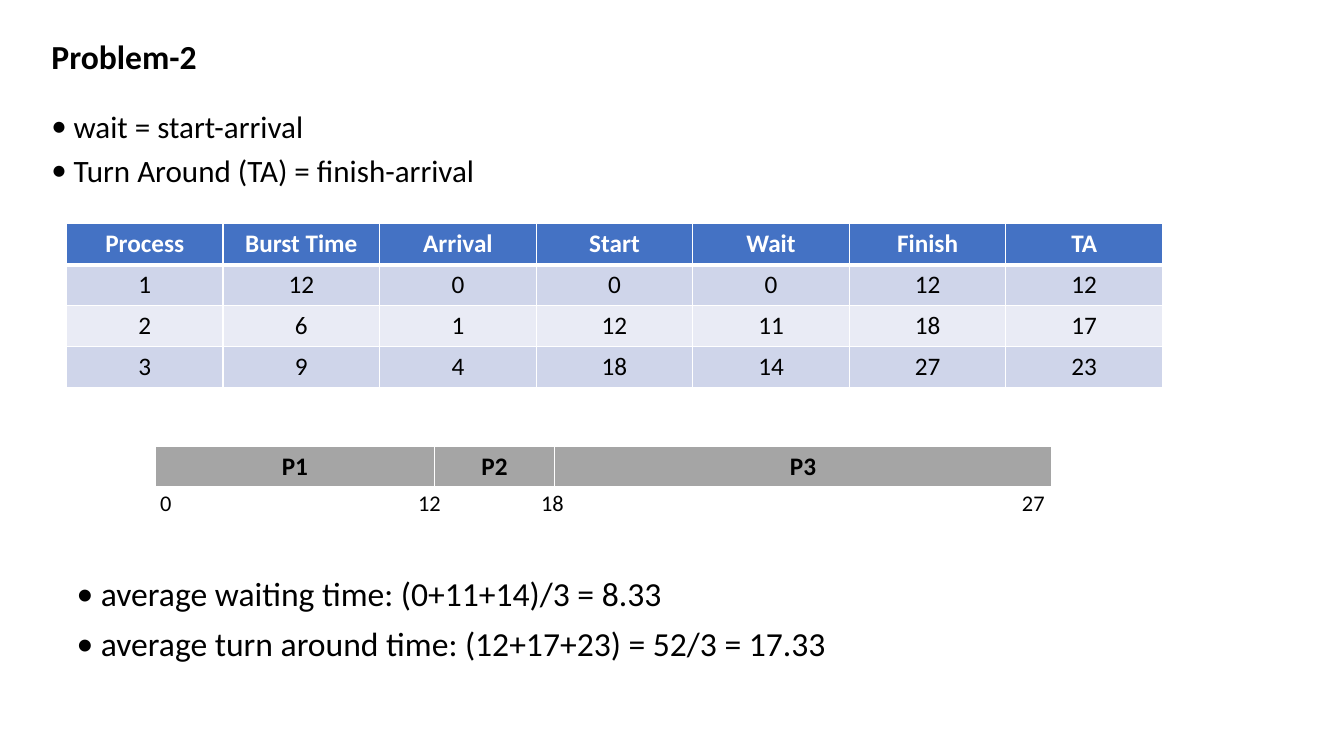
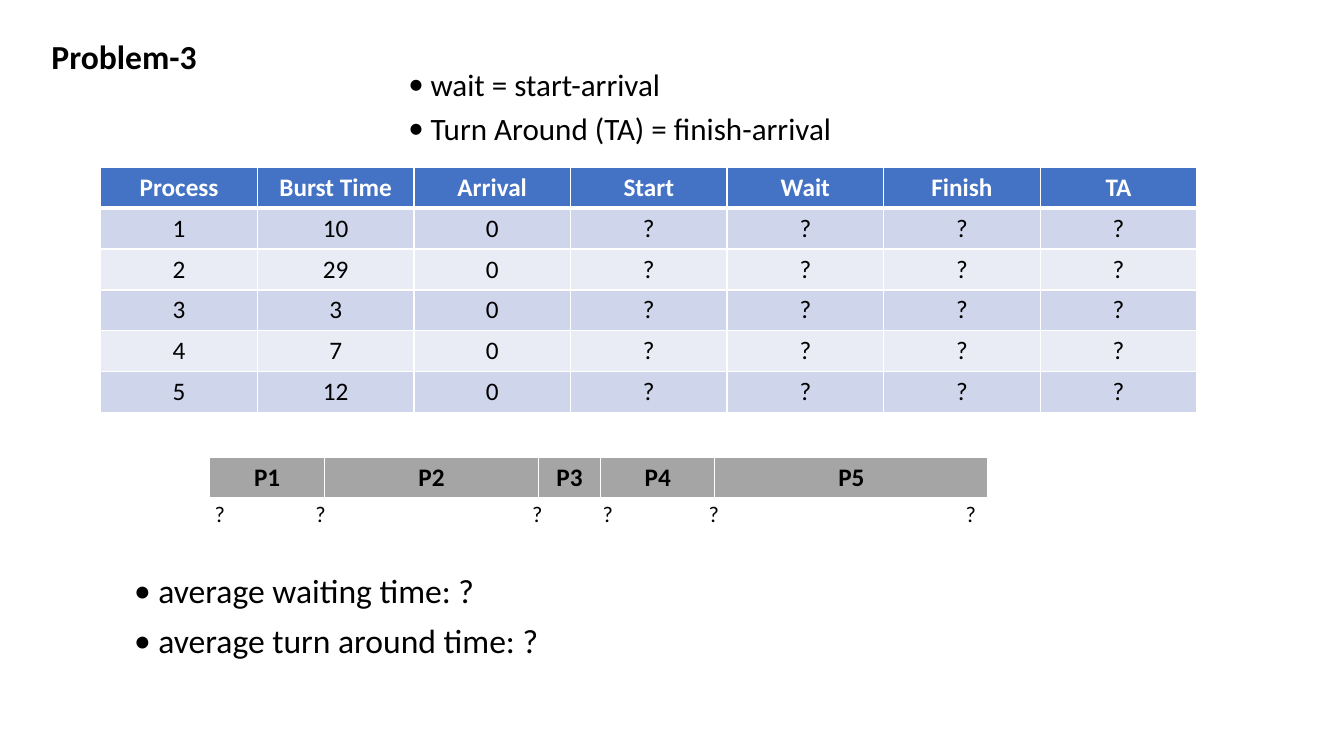
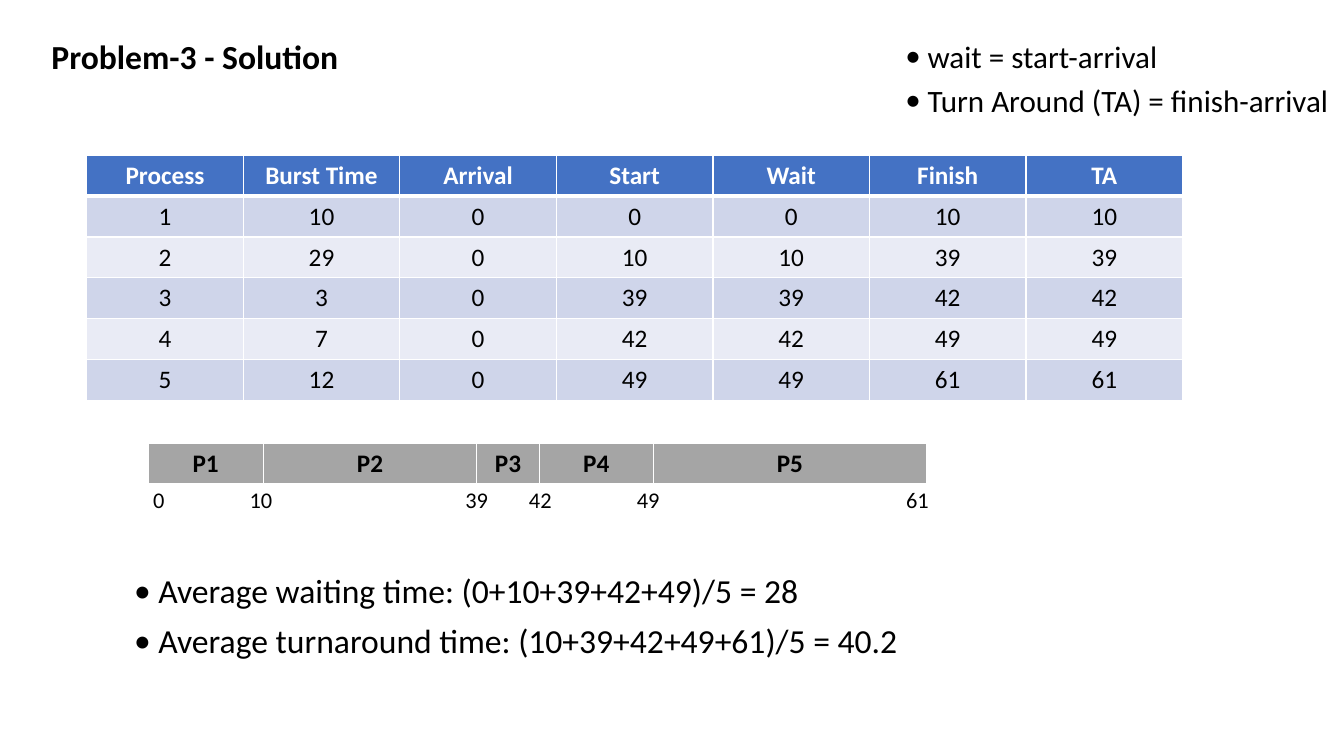
"""Build three slides on first-come, first-served process scheduling."""
from itertools import accumulate

from lxml.etree import SubElement
from pptx import Presentation
from pptx.dml.color import RGBColor
from pptx.enum.text import MSO_ANCHOR, MSO_AUTO_SIZE, PP_ALIGN
from pptx.oxml.ns import qn
from pptx.util import Inches, Pt

FONT = "Calibri"
BLACK, WHITE, BLUE, GREY = "000000", "FFFFFF", "4472C4", "A5A5A5"
BANDS = ["CFD5EA", "E9EBF5"]
HEADINGS = ["Process", "Burst Time", "Arrival", "Start", "Wait", "Finish", "TA"]
FORMULAS = ["wait = start-arrival", "Turn Around (TA) = finish-arrival"]
COLUMN, ROW, BAR_HEIGHT = 1.553, 0.405, 0.4

deck = Presentation()
deck.slide_width, deck.slide_height = Inches(13.33), Inches(7.5)
two_lists = deck.slide_layouts.get_by_name("Two Content")


def write(box, place, lines, size, bold=False, spacing=None, bullet=0, tabs=()):
    """Place a box and fill it with evenly formatted paragraphs."""
    box.left, box.top, box.width, box.height = map(Inches, place)
    frame = box.text_frame
    frame.word_wrap, frame.auto_size = True, MSO_AUTO_SIZE.NONE
    frame.vertical_anchor = MSO_ANCHOR.TOP
    frame.text = "\n".join(lines)
    for para in frame.paragraphs:
        para.alignment = PP_ALIGN.LEFT
        if spacing:
            para.line_spacing, para.space_before = spacing, Pt(10)
        properties = para._p.get_or_add_pPr()
        if bullet:
            properties.set("marL", str(Inches(bullet)))
            properties.set("indent", str(-Inches(bullet)))
            SubElement(properties, qn("a:buFont"), typeface=FONT)
            SubElement(properties, qn("a:buChar"), char="•")
        if tabs:
            stops = SubElement(properties, qn("a:tabLst"))
            for stop in tabs:
                SubElement(stops, qn("a:tab"), pos=str(Inches(stop)), algn="ctr")
        para.font.name, para.font.size, para.font.bold = FONT, Pt(size), bold
        para.font.color.rgb = RGBColor.from_string(BLACK)


def add_grid(slide, left, top, widths, height, rows, head_fill, head_color):
    """Add a table with a bold first row, banded rows and white borders."""
    grid = slide.shapes.add_table(len(rows), len(widths), Inches(left), Inches(top),
                                  Inches(sum(widths)), Inches(height * len(rows))).table
    for column, width in zip(grid.columns, widths):
        column.width = Inches(width)
    for r, row in enumerate(rows):
        for c, value in enumerate(row):
            cell = grid.cell(r, c)
            borders = {"lnL": 1, "lnR": 1, "lnT": 3 if r == 1 else 1, "lnB": 3 if r == 0 else 1}
            for side, weight in borders.items():
                line = SubElement(cell._tc.get_or_add_tcPr(), qn(f"a:{side}"), w=str(Pt(weight)))
                SubElement(SubElement(line, qn("a:solidFill")), qn("a:srgbClr"), val=WHITE)
            cell.fill.solid()
            cell.fill.fore_color.rgb = RGBColor.from_string(BANDS[(r - 1) % 2] if r else head_fill)
            cell.text = str(value)
            para = cell.text_frame.paragraphs[0]
            para.alignment = PP_ALIGN.CENTER
            para.font.name, para.font.size, para.font.bold = FONT, Pt(18), r == 0
            para.font.color.rgb = RGBColor.from_string(BLACK if r else head_color)


five_bursts, five_bars = [10, 29, 3, 7, 12], [1.14, 2.12, 0.62, 1.13, 2.71]
problems = [
    dict(title="Problem-2", title_width=1.83, solved=True,
         bursts=[12, 6, 9], arrivals=[0, 1, 4],
         formulas=(0.41, 1.09, 8.74, 0.85), table=(0.66, 2.22),
         bar=(1.54, 4.43), bar_widths=[2.77, 1.19, 4.93],
         tick_width=8.99, tabs=[2.67, 3.89, 8.66],
         averages=(0.66, 5.68, 10.87, 0.98),
         answers=["average waiting time: (0+11+14)/3 = 8.33",
                  "average turn around time: (12+17+23) = 52/3 = 17.33"]),
    dict(title="Problem-3", title_width=1.83, solved=False,
         bursts=five_bursts, arrivals=[0] * 5,
         formulas=(3.95, 0.67, 4.46, 0.85), table=(1, 1.66),
         bar=(2.08, 4.54), bar_widths=five_bars,
         tick_width=8.19, tabs=[1.05, 3.2, 3.9, 4.95, 7.5],
         averages=(1.23, 5.65, 10.87, 0.98),
         answers=["average waiting time: ?", "average turn around time: ?"]),
    dict(title="Problem-3 - Solution", title_width=3.77, solved=True,
         bursts=five_bursts, arrivals=[0] * 5,
         formulas=(8.88, 0.39, 4.46, 0.85), table=(0.86, 1.54),
         bar=(1.47, 4.4), bar_widths=five_bars,
         tick_width=8.19, tabs=[1.07, 3.21, 3.84, 4.91, 7.58],
         averages=(1.23, 5.65, 8.19, 0.98),
         answers=["Average waiting time: (0+10+39+42+49)/5 = 28",
                  "Average turnaround time: (10+39+42+49+61)/5 = 40.2"]),
]

for problem in problems:
    slide = deck.slides.add_slide(two_lists)
    title, formulas, averages = slide.placeholders
    write(title, (0.41, 0.31, problem["title_width"], 0.5), [problem["title"]], 24, bold=True)
    write(formulas, problem["formulas"], FORMULAS, 22.2, spacing=0.8, bullet=0.22)
    write(averages, problem["averages"], problem["answers"], 24, spacing=0.9, bullet=0.24)

    times = list(accumulate(problem["bursts"], initial=0))
    rows = [HEADINGS]
    for number, (burst, arrival) in enumerate(zip(problem["bursts"], problem["arrivals"]), 1):
        start, finish = times[number - 1:number + 1]
        results = [start, start - arrival, finish, finish - arrival]
        rows.append([number, burst, arrival] + (results if problem["solved"] else ["?"] * 4))
    add_grid(slide, *problem["table"], [COLUMN] * len(HEADINGS), ROW, rows, BLUE, WHITE)

    left, top = problem["bar"]
    names = [f"P{number}" for number in range(1, len(times))]
    add_grid(slide, left, top, problem["bar_widths"], BAR_HEIGHT, [names], GREY, BLACK)
    ticks = "\t".join(str(time) if problem["solved"] else "?" for time in times)
    write(slide.shapes.add_textbox(0, 0, 0, 0),
          (left - 0.05, top + BAR_HEIGHT, problem["tick_width"], 0.58),
          [ticks], 16, spacing=0.9, tabs=problem["tabs"])

deck.save("out.pptx")
